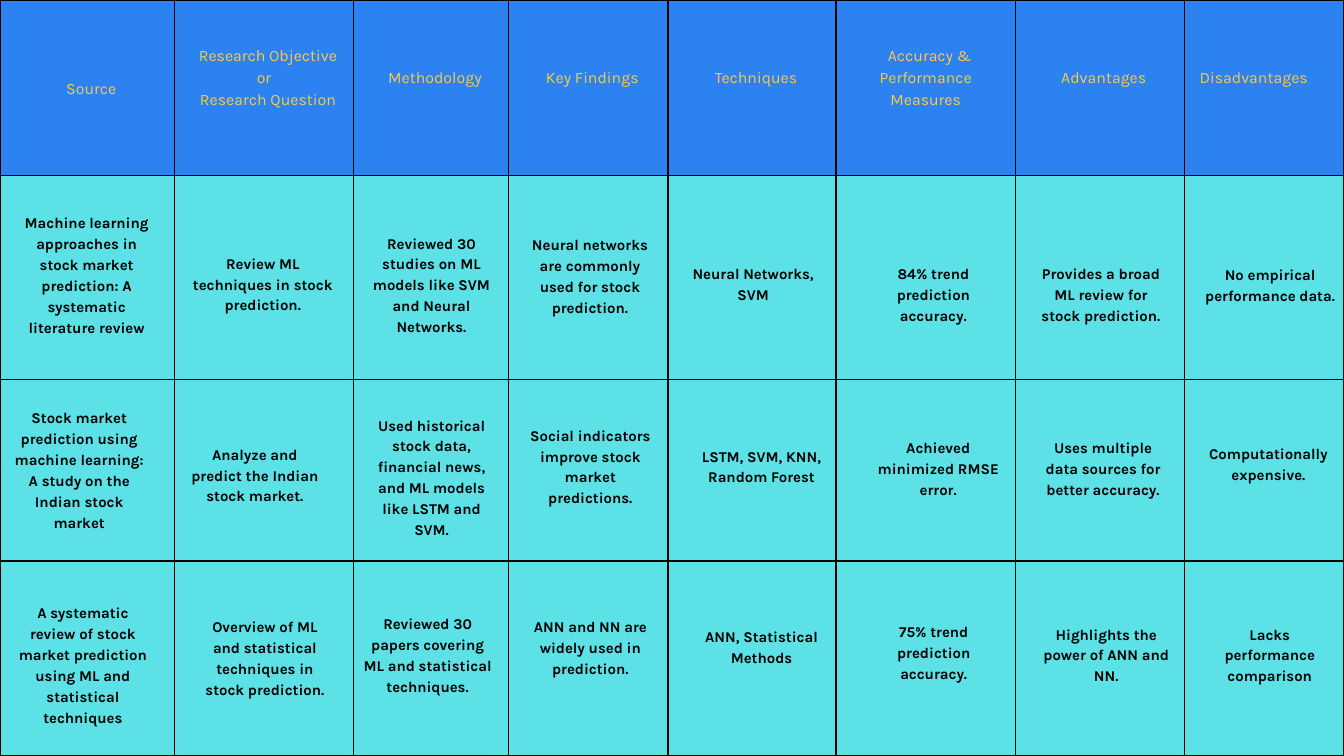
from dataclasses import dataclass

from lxml.etree import SubElement
from pptx import Presentation
from pptx.dml.color import RGBColor
from pptx.enum.text import MSO_ANCHOR, MSO_AUTO_SIZE, PP_ALIGN
from pptx.oxml.ns import qn
from pptx.util import Cm, Pt


@dataclass(frozen=True)
class Theme:
    font: str = "Karla"
    header_fill: str = "2C82F0"
    header_text: str = "FACA49"
    body_fill: str = "5CE1E6"
    body_text: str = "000000"
    border: str = "000000"
    border_width: float = 1.5
    header_size: float = 17
    body_size: float = 16
    header_spacing: float = 23.8
    body_spacing: float = 22.4


theme = Theme()


def write_text(frame, text, size, color, spacing, bold=False,
               align=PP_ALIGN.CENTER, first_indent=0):
    """Write one paragraph per line; first_indent moves each first line only."""
    for number, line in enumerate(text.split("\n")):
        paragraph = frame.paragraphs[0] if number == 0 else frame.add_paragraph()
        paragraph.alignment = align
        paragraph.line_spacing = Pt(spacing)
        if first_indent:
            properties = paragraph._p.get_or_add_pPr()
            properties.set("marL", "0")
            properties.set("indent", str(Cm(first_indent)))
        run = paragraph.add_run()
        run.text = line
        run.font.name = theme.font
        run.font.size = Pt(size)
        run.font.bold = bold
        run.font.color.rgb = RGBColor.from_string(color)


def style_cell(cell, fill):
    """Give a cell its four borders, its margins and its fill."""
    properties = cell._tc.get_or_add_tcPr()
    for side in ("a:lnL", "a:lnR", "a:lnT", "a:lnB"):
        line = SubElement(properties, qn(side), w=str(Pt(theme.border_width)))
        solid = SubElement(line, qn("a:solidFill"))
        SubElement(solid, qn("a:srgbClr"), val=theme.border)
    cell.fill.solid()
    cell.fill.fore_color.rgb = RGBColor.from_string(fill)
    cell.margin_left = cell.margin_right = Cm(0.28)
    cell.margin_top = cell.margin_bottom = Cm(0.28)
    cell.vertical_anchor = MSO_ANCHOR.MIDDLE


presentation = Presentation()
presentation.slide_width = Cm(50.8)
presentation.slide_height = Cm(28.58)
slide = presentation.slides.add_slide(presentation.slide_layouts[6])

# Table grid
column_widths = [6.6, 6.76, 5.87, 6.02, 6.35, 6.78, 6.38, 6.04]
row_heights = [6.63, 7.72, 6.86, 7.37]
table = slide.shapes.add_table(
    len(row_heights), len(column_widths), 0, 0, Cm(50.8), Cm(28.58)).table
table.horz_banding = False
for column, width in zip(table.columns, column_widths):
    column.width = Cm(width)
for row, height in zip(table.rows, row_heights):
    row.height = Cm(height)
for row_number, row in enumerate(table.rows):
    for cell in row.cells:
        style_cell(cell, theme.body_fill if row_number else theme.header_fill)

# Header row
headers = [
    "Source", "Research Objective or\nResearch Question", "Methodology",
    "Key Findings", "Techniques", "Accuracy &\nPerformance Measures",
    "Advantages", "Disadvantages",
]
for cell, header in zip(table.rows[0].cells, headers):
    if header != "Source":
        cell.margin_bottom = Cm(1.12)  # lifts the text by half a line
    write_text(
        cell.text_frame, header, theme.header_size, theme.header_text,
        theme.header_spacing, first_indent=0.3,
        align=PP_ALIGN.LEFT if header == "Disadvantages" else PP_ALIGN.CENTER)
# The second line of this header is centred without the indent
accuracy_paragraph = table.cell(0, 5).text_frame.paragraphs[1]
accuracy_paragraph._p.get_or_add_pPr().set("indent", "0")

# Body entries by study: text, left, top, width, number of lines
entries = [
    # First study
    ("Machine learning approaches in stock market prediction: "
     "A systematic literature review", 0.61, 7.98, 5.33, 6),
    ("Review ML techniques in stock prediction.", 6.99, 9.5, 5.89, 3),
    ("Reviewed 30 studies on ML models like SVM and Neural Networks.",
     13.92, 8.74, 4.78, 5),
    ("Neural networks are commonly used for stock prediction.",
     19.76, 8.79, 5.08, 4),
    ("Neural Networks, SVM", 25.93, 9.88, 5.08, 2),
    ("84% trend prediction accuracy.", 32.74, 9.88, 5.08, 3),
    ("Provides a broad ML review for stock prediction.", 39.29, 9.88, 4.65, 3),
    ("No empirical performance data.", 45.47, 9.93, 5.08, 3),
    # Second study
    ("Stock market prediction using machine learning: "
     "A study on the Indian stock market", 0.33, 15.34, 5.33, 6),
    ("Analyze and predict the Indian stock market.", 7.11, 16.72, 5.05, 3),
    ("Used historical stock data, financial news, and ML models "
     "like LSTM and SVM.", 13.79, 15.62, 5.05, 6),
    ("Social indicators improve stock market predictions.",
     19.79, 16, 5.05, 4),
    ("LSTM, SVM, KNN, Random Forest", 26.26, 16.79, 5.05, 2),
    ("Achieved minimized RMSE error.", 32.94, 16.48, 5.05, 3),
    ("Uses multiple data sources for better accuracy.",
     39.17, 16.46, 5.05, 3),
    ("Computationally expensive.", 45.42, 16.69, 5.05, 2),
    # Third study
    ("A systematic review of stock market prediction using ML and "
     "statistical techniques", 0.61, 22.71, 5.05, 6),
    ("Overview of ML and statistical techniques in stock prediction.",
     7.49, 23.24, 5.05, 4),
    ("Reviewed 30 papers covering ML and statistical techniques.",
     13.64, 23.14, 5.05, 4),
    ("ANN and NN are widely used in prediction.", 19.79, 23.24, 5.05, 3),
    ("ANN, Statistical Methods", 26.26, 23.62, 5.05, 2),
    ("75% trend prediction accuracy.", 32.77, 23.44, 5.05, 3),
    ("Highlights the power of ANN and NN.", 39.29, 23.52, 5.05, 3),
    ("Lacks performance comparison", 45.47, 23.52, 5.05, 3),
]
line_height = 0.76
for text, left, top, width, lines in entries:
    shape = slide.shapes.add_textbox(
        Cm(left), Cm(top), Cm(width), Cm(lines * line_height))
    frame = shape.text_frame
    frame.word_wrap = True
    frame.auto_size = MSO_AUTO_SIZE.SHAPE_TO_FIT_TEXT
    frame.margin_left = frame.margin_right = 0
    frame.margin_top = frame.margin_bottom = 0
    write_text(frame, text, theme.body_size, theme.body_text,
               theme.body_spacing, bold=True)

presentation.save("out.pptx")
